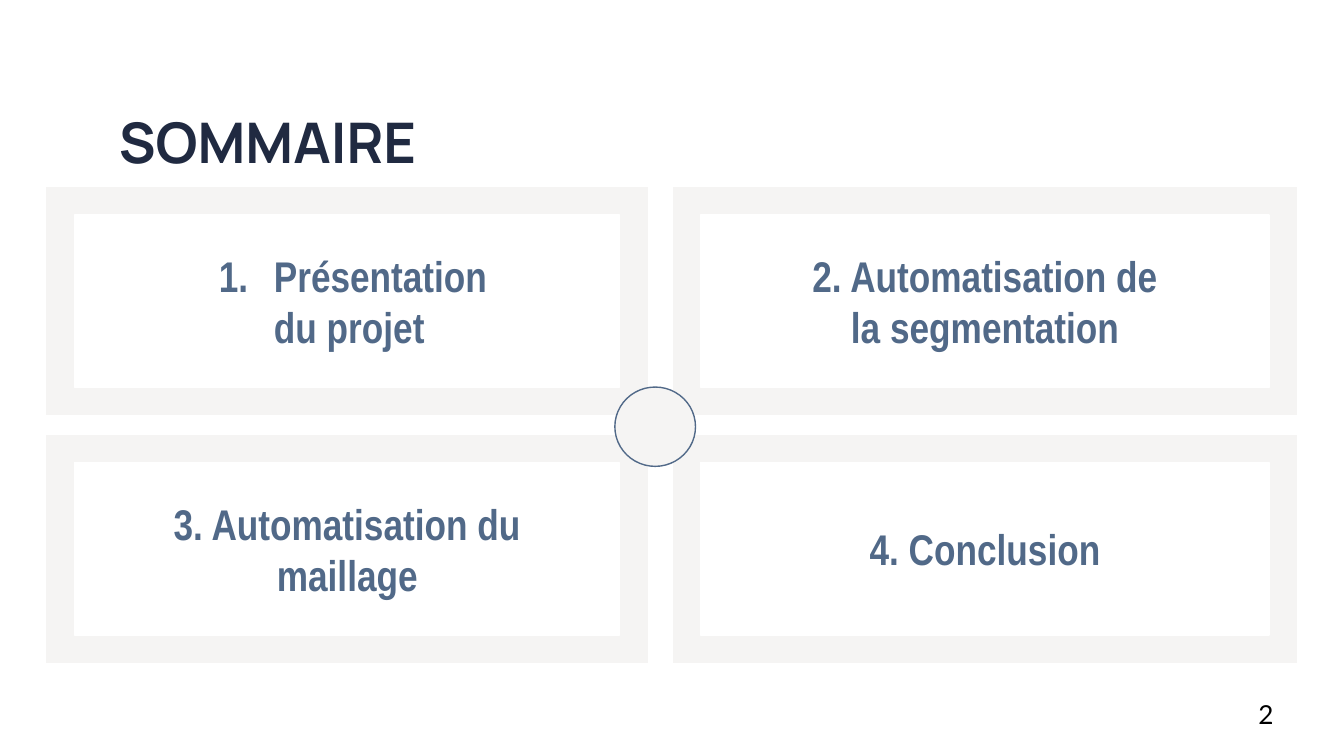
from itertools import product

from lxml.etree import SubElement
from pptx import Presentation
from pptx.dml.color import RGBColor
from pptx.enum.shapes import MSO_SHAPE
from pptx.enum.text import MSO_ANCHOR, MSO_AUTO_SIZE, PP_ALIGN
from pptx.oxml.ns import qn
from pptx.util import Emu, Pt

EMU_PER_PX = 4572  # 200 px to the inch
COLORS = {
    "background": "FFFFFF",
    "title": "202A41",
    "frame": "F5F4F3",
    "accent": "516988",
    "number": "000000",
}
FRAME_COLUMNS = [(68, 897), (1000, 931)]  # left, width
FRAME_ROWS = [277, 646]
FRAME_HEIGHT = 342
INSET = 20
CENTERED_TOPICS = [
    ("2. Automatisation de la segmentation", (1185, 351, 562, 196)),
    ("3. Automatisation du maillage", (236, 720, 562, 196)),
    ("4. Conclusion", (1185, 758, 562, 118)),
]


def px(length):
    return Emu(length * EMU_PER_PX)


def color(name):
    return RGBColor.from_string(COLORS[name])


def add_run(paragraph, text, font_name, size, color_name, bold=False):
    run = paragraph.add_run()
    run.text = text
    run.font.name = font_name
    run.font.size = Pt(size)
    run.font.bold = bold
    run.font.color.rgb = color(color_name)


def prepare_frame(shape, anchor=MSO_ANCHOR.TOP, auto_size=MSO_AUTO_SIZE.NONE):
    """Give the text frame even insets and return its first paragraph."""
    frame = shape.text_frame
    frame.word_wrap = True
    frame.auto_size = auto_size
    frame.vertical_anchor = anchor
    frame.margin_left = frame.margin_right = px(INSET)
    frame.margin_top = frame.margin_bottom = px(INSET)
    return frame.paragraphs[0]


def add_title(slide, text):
    title = slide.shapes.title
    title.left, title.top, title.width, title.height = map(px, (157, 140, 708, 244))
    paragraph = prepare_frame(title)
    paragraph.alignment = PP_ALIGN.LEFT
    add_run(paragraph, text, "Manrope", 30, "title", bold=True)


def add_filled_shape(slide, kind, box, line_color):
    shape = slide.shapes.add_shape(kind, *map(px, box))
    shape.shadow.inherit = False
    shape.fill.solid()
    shape.fill.fore_color.rgb = color("frame")
    shape.line.color.rgb = color(line_color)
    shape.line.width = Pt(0.75)
    return shape


def add_frames(slide):
    for top, (left, width) in product(FRAME_ROWS, FRAME_COLUMNS):
        box = (left, top, width, FRAME_HEIGHT)
        frame = add_filled_shape(slide, MSO_SHAPE.FRAME, box, "background")
        frame.adjustments[0] = 0.125


def number_paragraph(paragraph):
    """Turn the paragraph into an automatically numbered item with a hanging indent."""
    properties = paragraph._p.get_or_add_pPr()
    properties.set("marL", str(px(100)))
    properties.set("indent", str(px(-82)))
    bullet_color = SubElement(properties, qn("a:buClr"))
    SubElement(bullet_color, qn("a:srgbClr")).set("val", COLORS["accent"])
    SubElement(properties, qn("a:buAutoNum")).set("type", "arabicPeriod")


def add_topic(slide, text, box, numbered=False):
    shape = slide.shapes.add_textbox(*map(px, box))
    paragraph = prepare_frame(shape, auto_size=MSO_AUTO_SIZE.SHAPE_TO_FIT_TEXT)
    if numbered:
        number_paragraph(paragraph)
    else:
        paragraph.alignment = PP_ALIGN.CENTER
    add_run(paragraph, text, "Arial Narrow", 23, "accent", bold=True)


def add_page_number(slide, text):
    shape = slide.shapes.add_textbox(*map(px, (1853, 1020, 120, 86)))
    paragraph = prepare_frame(shape, anchor=MSO_ANCHOR.MIDDLE)
    add_run(paragraph, text, "Lato", 14, "number")


def main():
    presentation = Presentation()
    presentation.slide_width = px(2000)
    presentation.slide_height = px(1125)
    slide = presentation.slides.add_slide(presentation.slide_layouts[5])
    slide.background.fill.solid()
    slide.background.fill.fore_color.rgb = color("background")

    add_title(slide, "SOMMAIRE")
    add_frames(slide)
    add_topic(slide, "Présentation du projet", (288, 351, 460, 196), numbered=True)
    for text, box in CENTERED_TOPICS:
        add_topic(slide, text, box)
    add_filled_shape(slide, MSO_SHAPE.OVAL, (915, 576, 120, 118), "accent")
    add_page_number(slide, "2")

    presentation.save("out.pptx")


if __name__ == "__main__":
    main()
